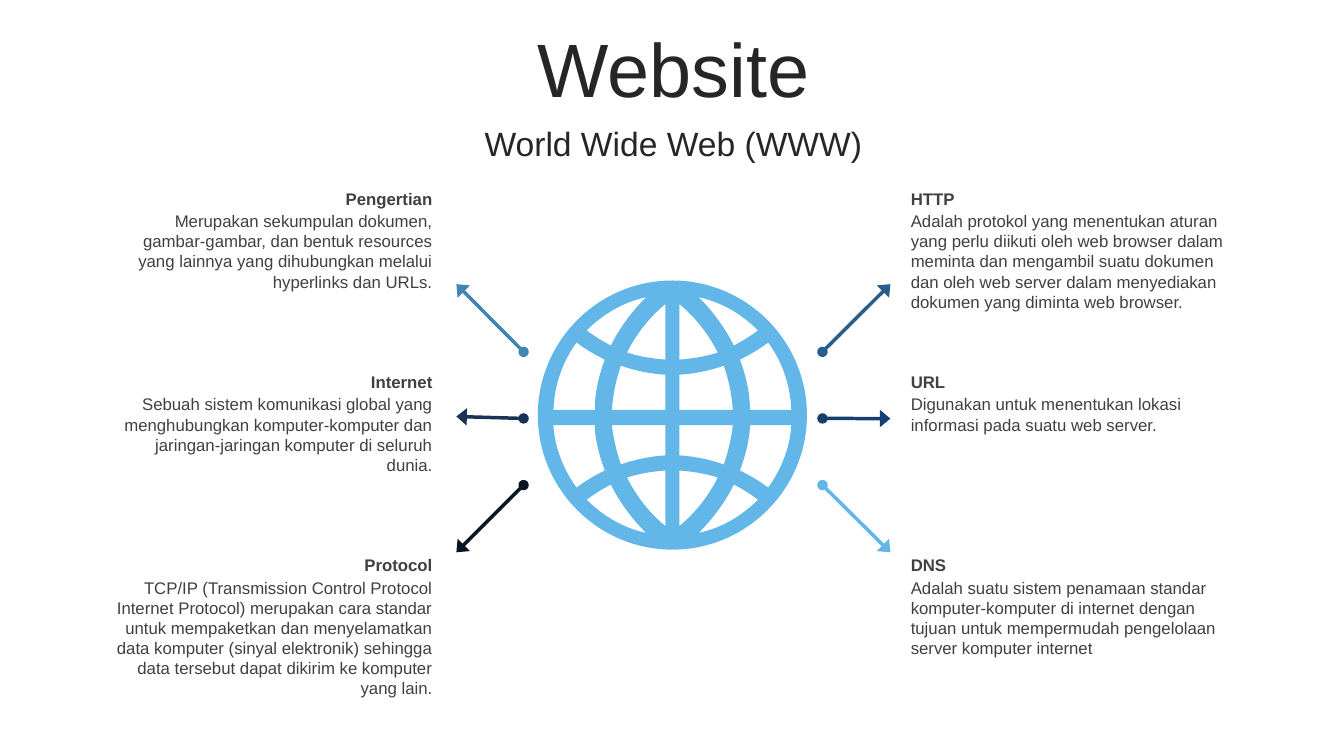
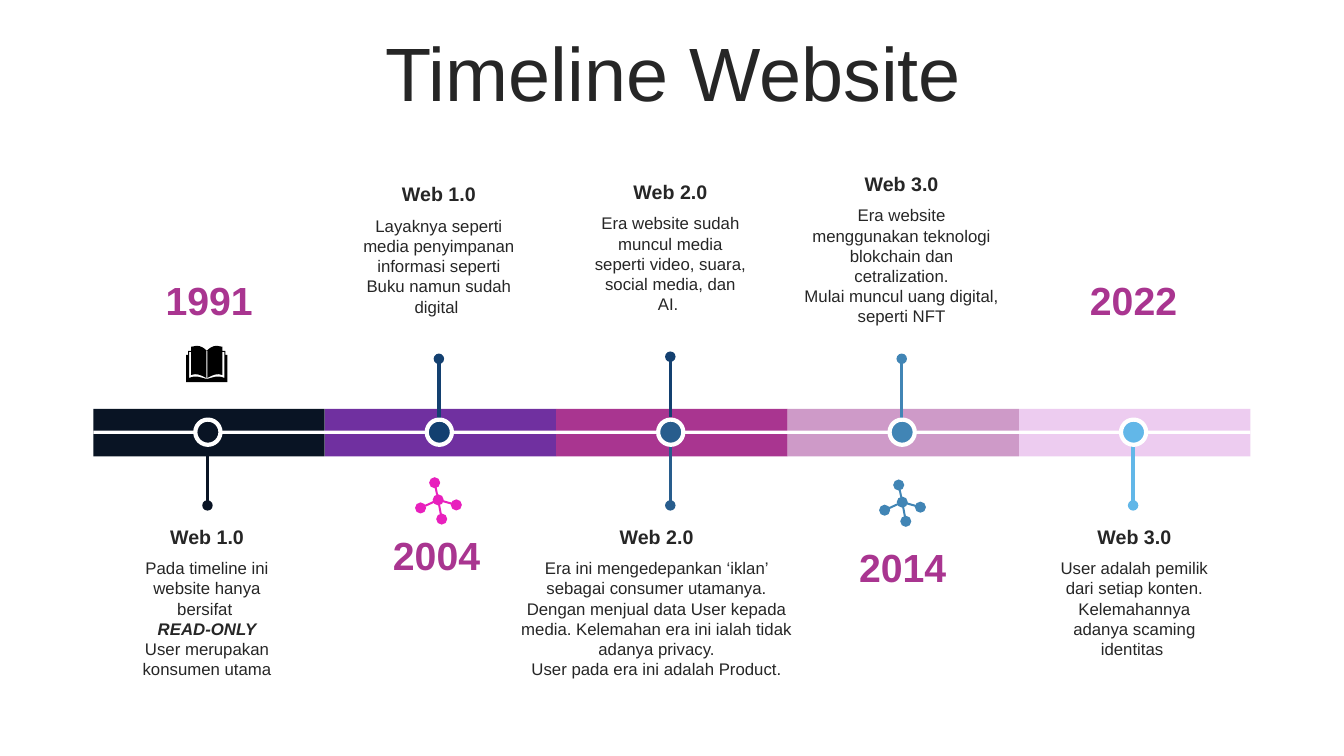
from math import hypot
from lxml.etree import SubElement
from pptx import Presentation
from pptx.dml.color import RGBColor
from pptx.enum.shapes import MSO_CONNECTOR, MSO_SHAPE
from pptx.enum.text import MSO_ANCHOR, PP_ALIGN
from pptx.oxml.ns import qn
from pptx.util import Pt

COLORS = {
    "title": "262626", "body": "404040", "white": "FFFFFF", "black": "000000",
    "midnight": "091424", "navy": "1A3253", "deep": "134070", "denim": "285D8D",
    "steel": "4185B5", "sky": "62B7E8", "violet": "7030A0", "plum": "A93590",
    "mauve": "CE9AC8", "lilac": "EDCCF0", "pink": "E820BD",
}


# Icon outlines, in hundredths of an inch around their own centre.
# A part of two numbers is a point, one of six is a cubic curve.
def mirror(contour, sx, sy=1):
    return [tuple(n * (sy if i % 2 else sx) for i, n in enumerate(part)) for part in contour]


def circle(cx, cy, r):
    k = 0.55 * r
    return [(cx + r, cy),
            (cx + r, cy + k, cx + k, cy + r, cx, cy + r),
            (cx - k, cy + r, cx - r, cy + k, cx - r, cy),
            (cx - r, cy - k, cx - k, cy - r, cx, cy - r),
            (cx + k, cy - r, cx + r, cy - k, cx + r, cy)]


def globe_contours():
    contours = [circle(0, 0, 133.5)]
    for sy, equator in ((-1, 5), (1, 10)):
        windows = [
            [(7, 110), (7, 55), (20, 56, 33, 58, 45, 62), (36, 80, 23, 97, 7, 110)],
            [(26, 117), (40, 103, 52, 87, 61, 69), (69, 73, 77, 78, 85, 84),
             (69, 100, 49, 112, 26, 117)],
            [(51, 49), (37, 44, 22, 41, 7, 40), (7, equator), (60, equator),
             (59, 20, 56, 35, 51, 49)],
            [(95, 72), (86, 65, 77, 60, 67, 55), (73, 39, 77, 22, 77, equator),
             (118, equator), (117, 30, 109, 53, 95, 72)],
        ]
        contours += [mirror(window, sx, sy) for window in windows for sx in (-1, 1)]
    return contours


def book_contours():
    cover = [(0, 5), (3, 2, 6, 0, 10, 0), (15.5, 1), (15.5, 5), (18.5, 5), (18.5, 9),
             (20.5, 9), (20.5, 36), (-20.5, 36), (-20.5, 9), (-18.5, 9), (-18.5, 5),
             (-15.5, 5), (-15.5, 1), (-10, 0), (-6, 0, -3, 2, 0, 5)]
    page_edge = [(0, 5), (0.5, 5), (0.5, 32), (5.5, 29, 10.5, 27, 15.5, 29), (15.5, 6),
                 (17.5, 6), (17.5, 32), (10.5, 29, 8, 31, 0, 33)]
    return [cover, page_edge, mirror(page_edge, -1)]


def network_contours():
    radius, half = 5.5, 1
    contours = [circle(0, 0, radius)]
    for x, y in ((-3.5, -17), (18, 5), (3.5, 19), (-17.5, 8)):
        length = hypot(x, y)
        ux, uy = x / length, y / length
        near, far = radius - 0.1, length - radius + 0.1
        contours.append(circle(x, y, radius))
        contours.append([(ux * d - uy * w, uy * d + ux * w) for d, w in
                         ((near, half), (far, half), (far, -half), (near, -half))])
    return contours


class Deck:
    font = "Arial"

    def __init__(self):
        self.prs = Presentation()
        self.prs.slide_width, self.prs.slide_height = Pt(960), Pt(540)
        self.slide = None

    def new_slide(self, top, *lines):
        self.slide = self.prs.slides.add_slide(self.prs.slide_layouts[6])
        heading = self.text(25.5, top, 911, 57, lines, 54, anchor=MSO_ANCHOR.MIDDLE)
        for paragraph, size in zip(heading.paragraphs, (54, 24)):
            paragraph.line_spacing, paragraph.space_before = 0.9, Pt(10)
            paragraph.runs[0].font.size = Pt(size)

    def color(self, name):
        return RGBColor.from_string(COLORS[name])

    def text(self, left, top, width, height, lines, size, color="title", bold=False,
             align=PP_ALIGN.CENTER, anchor=MSO_ANCHOR.TOP):
        frame = self.slide.shapes.add_textbox(Pt(left), Pt(top), Pt(width), Pt(height)).text_frame
        frame.word_wrap, frame.vertical_anchor = True, anchor
        frame.text = "\n".join(lines)
        for paragraph in frame.paragraphs:
            paragraph.alignment = align
            font = paragraph.runs[0].font
            font.name, font.size, font.bold = self.font, Pt(size), bold
            font.color.rgb = self.color(color)
        return frame

    def entry(self, left, top, width, heading, lines, rows, size=14, drop=24, **style):
        """A bold heading with its description below."""
        self.text(left, top, width, size + 10, [heading], size, bold=True,
                  anchor=MSO_ANCHOR.MIDDLE, **style)
        return self.text(left, top + drop, width, rows * 14.4 + 7.2, lines, 12, **style)

    def paint(self, shape, fill, outline=None):
        shape.shadow.inherit = False
        shape.fill.solid()
        shape.fill.fore_color.rgb = self.color(fill)
        if outline:
            shape.line.color.rgb, shape.line.width = self.color(outline), Pt(3)
        else:
            shape.line.fill.background()

    def shape(self, kind, left, top, width, height, fill, outline=None):
        self.paint(self.slide.shapes.add_shape(kind, Pt(left), Pt(top), Pt(width), Pt(height)),
                   fill, outline)

    def icon(self, x, y, contours, fill):
        scaled = [[tuple(round(n * 72) for n in part) for part in contour]
                  for contour in contours]
        builder = self.slide.shapes.build_freeform(*scaled[0][0], scale=Pt(0.01))
        for number, contour in enumerate(scaled):
            if number:
                builder.move_to(*contour[0])
            builder.add_line_segments([part[-2:] for part in contour[1:]], close=False)
        outline = builder.convert_to_shape(Pt(x), Pt(y))
        self.bend(outline, scaled)
        self.paint(outline, fill)

    def bend(self, outline, contours):
        """Replace the straight segments of curved parts by cubic curves."""
        ends = [part[-2:] for contour in contours for part in contour]
        left, top = (min(axis) for axis in zip(*ends))
        segments = list(outline._element.iter(qn("a:lnTo")))
        parts = [part for contour in contours for part in contour[1:]]
        for segment, part in zip(segments, parts):
            if len(part) == 6:
                curve = SubElement(segment.getparent(), qn("a:cubicBezTo"))
                for px, py in zip(part[::2], part[1::2]):
                    SubElement(curve, qn("a:pt"), x=str(px - left), y=str(py - top))
                segment.getparent().replace(segment, curve)

    def pin(self, x1, y1, x2, y2, color, arrow=False):
        """A line with a dot at its start and, if asked, an arrow at its end."""
        line = self.slide.shapes.add_connector(MSO_CONNECTOR.STRAIGHT,
                                               Pt(x1), Pt(y1), Pt(x2), Pt(y2))
        line.line.color.rgb, line.line.width = self.color(color), Pt(2.5)
        ln = line.line._get_or_add_ln()
        SubElement(ln, qn("a:headEnd"), type="oval")
        if arrow:
            SubElement(ln, qn("a:tailEnd"), type="triangle", w="lg", len="med")
        SubElement(ln.getparent(), qn("a:effectLst"))


def build_website(deck):
    deck.new_slide(41.5, "Website", "World Wide Web (WWW)")

    # Topics: heading, description, rows, arrow colour, arrow end
    left_topics = [
        ("Pengertian", "Merupakan sekumpulan dokumen, gambar-gambar, dan bentuk resources yang "
         "lainnya yang dihubungkan melalui hyperlinks dan URLs.", 4, "steel", 203),
        ("Internet", "Sebuah sistem komunikasi global yang menghubungkan komputer-komputer dan "
         "jaringan-jaringan komputer di seluruh dunia.", 4, "navy", 297.5),
        ("Protocol", "TCP/IP (Transmission Control Protocol Internet Protocol) merupakan cara "
         "standar untuk mempaketkan dan menyelamatkan data komputer (sinyal elektronik) "
         "sehingga data tersebut dapat dikirim ke komputer yang lain.", 6, "midnight", 394.5),
    ]
    right_topics = [
        ("HTTP", "Adalah protokol yang menentukan aturan yang perlu diikuti oleh web browser "
         "dalam meminta dan mengambil suatu dokumen dan oleh web server dalam menyediakan "
         "dokumen yang diminta web browser.", 5, "denim", 203),
        ("URL", "Digunakan untuk menentukan lokasi informasi pada suatu web server.",
         2, "deep", 299),
        ("DNS", "Adalah suatu sistem penamaan standar komputer-komputer di internet dengan "
         "tujuan untuk mempermudah pengelolaan server komputer internet", 4, "sky", 394.5),
    ]
    sides = ((left_topics, 72, PP_ALIGN.RIGHT, 374, 326),
             (right_topics, 643.5, PP_ALIGN.LEFT, 587.5, 636))
    for topics, left, align, start, end in sides:
        for row, (heading, description, rows, color, end_y) in enumerate(topics):
            deck.pin(start, 251.3 + 47.6 * row, end, end_y, color, arrow=True)
            deck.entry(left, 130.9 + 130.9 * row, 244, heading, [description], rows,
                       size=12, drop=16.2, color="body", align=align)

    # Globe
    deck.icon(480.3, 296.5, globe_contours(), "sky")


def build_timeline(deck):
    deck.new_slide(26.5, "Timeline Website")
    step, first = 165.3, 148.2

    # Coloured band with its centre line
    for column, color in enumerate(("midnight", "violet", "plum", "mauve", "lilac")):
        deck.shape(MSO_SHAPE.RECTANGLE, 66.7 + step * column, 292, step, 34, color)
    deck.shape(MSO_SHAPE.RECTANGLE, 66.7, 307.7, 5 * step, 2.2, "white")

    # Pins: column, dot height, end height, colour
    for column, dot, end, color in ((0, 361, 317.5, "midnight"), (1, 256.3, 299.5, "deep"),
                                    (2, 361, 317.5, "denim"), (2, 254.8, 298, "deep"),
                                    (3, 256.3, 299.5, "steel"), (4, 361, 317.5, "sky")):
        x = first + step * column
        deck.pin(x, dot, x, end, color)
    for column, color in enumerate(("midnight", "deep", "denim", "steel", "sky")):
        deck.shape(MSO_SHAPE.OVAL, first + step * column - 8.7, 299.7, 18, 18, color, "white")

    # Eras
    first_era = deck.entry(86.4, 371, 123, "Web 1.0",
                           ["Pada timeline ini website hanya bersifat ", "READ-ONLY",
                            "User merupakan konsumen utama"], 7)
    emphasis = first_era.paragraphs[1].runs[0].font
    emphasis.bold = emphasis.italic = True
    eras = [
        (252, 126.5, 123, "Web 1.0",
         ["Layaknya seperti media penyimpanan informasi seperti Buku namun sudah digital "], 5),
        (417.4, 124.7, 123, "Web 2.0",
         ["Era website sudah muncul media seperti video, suara, social media, dan AI. "], 4),
        (362.8, 371, 212.4, "Web 2.0",
         ["Era ini mengedepankan ‘iklan’ sebagai consumer utamanya. Dengan menjual data User "
          "kepada media. Kelemahan era ini ialah tidak adanya privacy.",
          "User pada era ini adalah Product."], 6),
        (566.6, 119, 154.8, "Web 3.0",
         ["Era website menggunakan teknologi blokchain dan cetralization.",
          "Mulai muncul uang digital, seperti NFT"], 6),
        (748.8, 371, 123, "Web 3.0",
         ["User adalah pemilik dari setiap konten.", "Kelemahannya adanya scaming identitas "], 5),
    ]
    for era in eras:
        deck.entry(*era)

    # Years
    for left, top, year in ((102.2, 193.7, "1991"), (264.6, 376.2, "2004"),
                            (597.6, 384.5, "2014"), (762.5, 193.7, "2022")):
        deck.text(left, top, 94.3, 41, [year], 28, color="plum", bold=True)

    # Icons
    deck.icon(147.7, 247, book_contours(), "black")
    deck.icon(313, 357.1, network_contours(), "pink")
    deck.icon(644.5, 358.7, network_contours(), "steel")


def main():
    deck = Deck()
    build_website(deck)
    build_timeline(deck)
    deck.prs.save("out.pptx")


if __name__ == "__main__":
    main()
